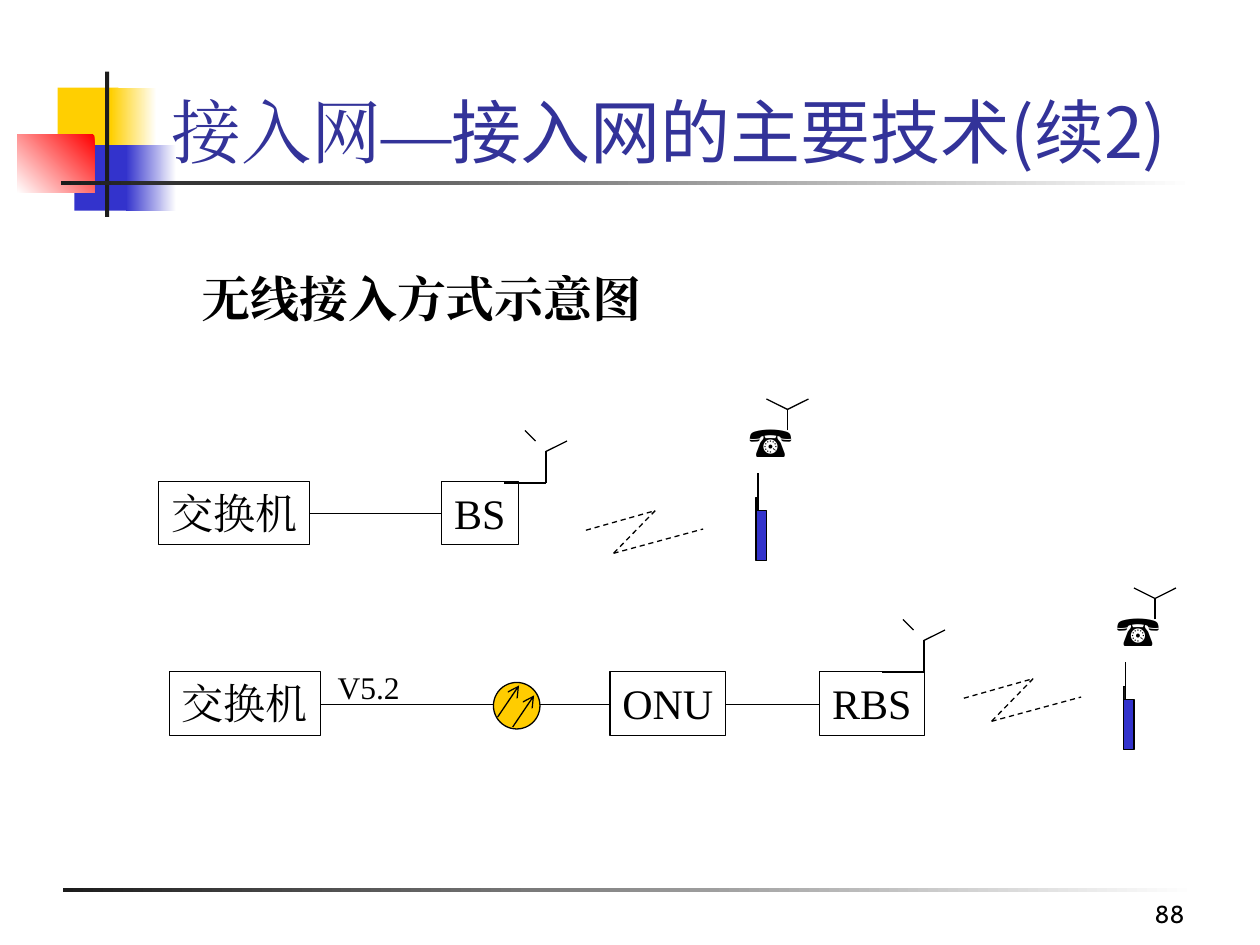
from lxml.etree import SubElement
from pptx import Presentation
from pptx.dml.color import RGBColor
from pptx.enum.dml import MSO_LINE
from pptx.enum.shapes import MSO_CONNECTOR, MSO_SHAPE
from pptx.enum.text import MSO_ANCHOR, MSO_AUTO_SIZE, PP_ALIGN
from pptx.oxml.ns import qn
from pptx.util import Pt

BLACK = RGBColor(0x00, 0x00, 0x00)
CHARCOAL = RGBColor(0x1C, 0x1C, 0x1C)
WHITE = RGBColor(0xFF, 0xFF, 0xFF)
YELLOW = RGBColor(0xFF, 0xCF, 0x01)
AMBER = RGBColor(0xFF, 0xCC, 0x00)
BLUE = RGBColor(0x33, 0x33, 0xCC)
RED = RGBColor(0xFF, 0x00, 0x00)
TITLE_BLUE = RGBColor(0x33, 0x33, 0x99)
SERIF = "Times New Roman"
SANS = "Noto Sans CJK SC"


def format_span(span, font, size, color=BLACK, bold=False):
    """Style a run, using the same typeface for Latin and East Asian text."""
    span.font.name = font
    span.font.size = Pt(size)
    span.font.color.rgb = color
    span.font.bold = bold
    latin = span.font._element.find(qn("a:latin"))
    east_asian = latin.makeelement(qn("a:ea"), {"typeface": font})
    latin.addnext(east_asian)


def add_block(page, left, top, width, height, fill=None, outlined=False, kind=MSO_SHAPE.RECTANGLE):
    """Add a preset shape with an optional solid fill and thin outline."""
    block = page.shapes.add_shape(kind, Pt(left), Pt(top), Pt(width), Pt(height))
    block.shadow.inherit = False
    if fill is None:
        block.fill.background()
    else:
        block.fill.solid()
        block.fill.fore_color.rgb = fill
    if outlined:
        block.line.color.rgb = BLACK
        block.line.width = Pt(0.75)
    else:
        block.line.fill.background()
    return block


def add_fade(page, left, top, width, height, start, end, angle=180):
    """Add a borderless rectangle with a two-colour gradient."""
    block = add_block(page, left, top, width, height)
    block.fill.gradient()
    block.fill.gradient_angle = angle
    for stop, color, position in zip(block.fill.gradient_stops, (start, end), (0, 1)):
        stop.color.rgb = color
        stop.position = position


def write_text(box, text, font, size, bold=False, align=PP_ALIGN.LEFT, anchor=MSO_ANCHOR.TOP):
    """Put one unwrapped line of text in a box."""
    frame = box.text_frame
    frame.text = text
    frame.word_wrap = False
    frame.auto_size = MSO_AUTO_SIZE.NONE
    frame.vertical_anchor = anchor
    para = frame.paragraphs[0]
    para.alignment = align
    format_span(para.runs[0], font, size, bold=bold)


def add_label(page, left, top, width, height, text, font, size, **style):
    """Add a plain text box."""
    box = page.shapes.add_textbox(Pt(left), Pt(top), Pt(width), Pt(height))
    write_text(box, text, font, size, **style)


def add_node(page, left, top, width, text, fill=None):
    """Add a labelled network node."""
    write_text(add_block(page, left, top, width, 36.3, fill, True), text, SERIF, 24)


def add_line(page, start, end, dashed=False, arrow=False):
    """Add a thin straight line between two points."""
    line = page.shapes.add_connector(MSO_CONNECTOR.STRAIGHT, *map(Pt, (*start, *end)))
    line.line.color.rgb = BLACK
    line.line.width = Pt(0.75)
    if dashed:
        line.line.dash_style = MSO_LINE.DASH
    if arrow:
        SubElement(line.line._get_or_add_ln(), qn("a:tailEnd"), type="arrow")
    SubElement(line._element.spPr, qn("a:effectLst"))


def add_path(page, points, dashed=False):
    """Join successive points with lines."""
    for start, end in zip(points, points[1:]):
        add_line(page, start, end, dashed)


def add_base_antenna(page, x, y):
    """Draw a base station antenna whose foot is at x, y."""
    add_path(page, [(x - 24, y), (x, y), (x, y - 18), (x + 12, y - 24)])
    add_line(page, (x - 6, y - 24), (x - 12, y - 30))


def add_radio_wave(page, x, y):
    """Draw a dashed radio link starting at x, y."""
    add_path(page, [(x, y), (x + 39.6, y - 11.2), (x + 15.8, y + 13.2), (x + 67, y - 0.7)], True)


def add_terminals(page, x, y):
    """Draw a handset at x, y with a cordless telephone above it."""
    add_block(page, x, y, 1.2, 10.8, CHARCOAL, True)
    add_line(page, (x + 1.2, y), (x + 1.2, y - 14.4))
    add_block(page, x, y + 7.2, 6, 28.8, BLUE, True)
    add_label(page, x - 11.5, y - 50.4, 39.6, 36, "☎", "Arial", 24,
              align=PP_ALIGN.CENTER, anchor=MSO_ANCHOR.MIDDLE)
    fork = (x + 18, y - 50.4)
    add_line(page, (x + 18, y - 38.4), fork)
    for reach in (-12, 12):
        add_line(page, fork, (x + 18 + reach, y - 56.4))


def add_decoration(page):
    """Draw the coloured squares and the fading rules."""
    add_block(page, 33, 50, 34.6, 37.4, YELLOW)
    add_fade(page, 63.4, 50, 26, 37.4, WHITE, YELLOW)
    add_block(page, 42.5, 83, 33.1, 37.4, BLUE)
    add_fade(page, 72, 83, 28.8, 37.4, WHITE, BLUE)
    add_fade(page, 10, 77, 44, 33.3, RED, WHITE, 225)
    add_block(page, 60, 41, 2.4, 83, CHARCOAL)
    add_fade(page, 34.8, 103.5, 648, 2.4, WHITE, CHARCOAL)
    add_fade(page, 36, 507.3, 648, 2.5, WHITE, CHARCOAL)


def add_title(page):
    """Fill and format the title placeholder."""
    title = page.shapes.title
    title.left, title.top, title.width, title.height = map(Pt, (90.7, 18, 613.5, 84.2))
    frame = title.text_frame
    frame.auto_size = MSO_AUTO_SIZE.NONE
    frame.vertical_anchor = MSO_ANCHOR.BOTTOM
    para = frame.paragraphs[0]
    para.alignment = PP_ALIGN.LEFT
    for text, font in (("接入网—", SERIF), ("接入网的主要技术(续2)", SANS)):
        span = para.add_run()
        span.text = text
        format_span(span, font, 40, TITLE_BLUE)


def add_direct_access(page):
    """Draw the exchange connected straight to a base station."""
    add_node(page, 90.7, 275, 86.4, "交换机")
    add_node(page, 252.5, 275, 43.7, "BS")
    add_line(page, (177, 293.6), (252, 293.6))
    add_base_antenna(page, 312, 276)
    add_radio_wave(page, 334.8, 303)
    add_terminals(page, 432, 284.4)


def add_fibre_access(page):
    """Draw the exchange connected to a remote base station by fibre."""
    add_node(page, 96.7, 383.8, 86.4, "交换机")
    add_node(page, 468.5, 383.8, 59.8, "RBS")
    add_line(page, (183, 402.4), (468, 402.4))
    add_base_antenna(page, 528, 384)
    add_radio_wave(page, 550.8, 399)
    add_terminals(page, 642, 392.4)
    add_block(page, 282, 390, 26.6, 26.6, AMBER, True, MSO_SHAPE.OVAL)
    for x, y in ((284.4, 409.7), (293, 415.4)):
        add_line(page, (x, y), (x + 12.2, y - 18), arrow=True)
    add_node(page, 348.5, 383.8, 66.2, "ONU", WHITE)
    add_label(page, 185.8, 378, 49.7, 28.8, "V5.2", SERIF, 18)


def main():
    """Build and save the slide."""
    deck = Presentation()
    deck.slide_width, deck.slide_height = Pt(720), Pt(540)
    page = deck.slides.add_slide(deck.slide_layouts[5])
    add_decoration(page)
    add_title(page)
    add_direct_access(page)
    add_fibre_access(page)
    add_label(page, 108, 150, 265.7, 41, "无线接入方式示意图", SERIF, 28,
              bold=True, align=PP_ALIGN.CENTER, anchor=MSO_ANCHOR.MIDDLE)
    add_label(page, 534, 498, 150, 36, "88", "Cabin", 14,
              align=PP_ALIGN.RIGHT, anchor=MSO_ANCHOR.BOTTOM)
    deck.save("out.pptx")


if __name__ == "__main__":
    main()
